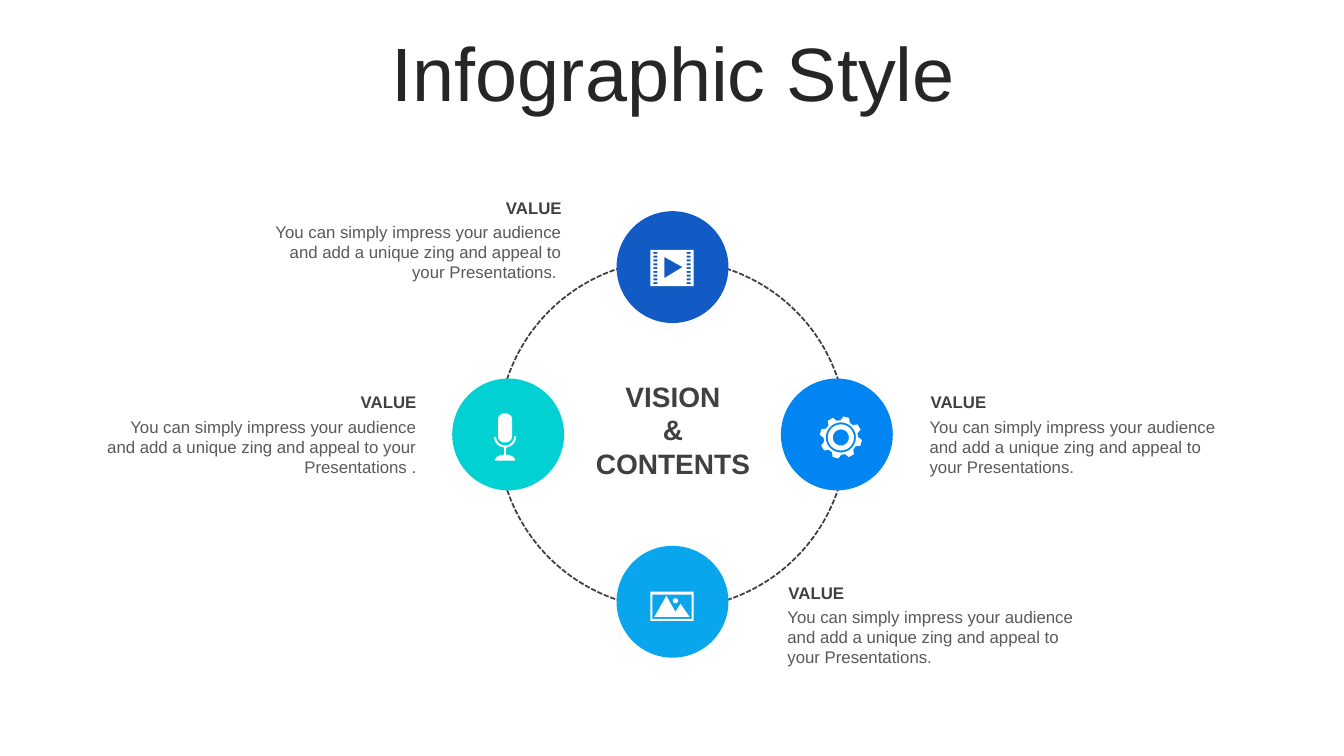
"""Build the Infographic Style slide: a ring of four icons with callouts."""
import math

from pptx import Presentation
from pptx.dml.color import RGBColor
from pptx.enum import dml, shapes, text
from pptx.util import Inches, Pt

FONT = "Arial"
WHITE, DARK, GREY, INK = "FFFFFF", "404040", "595959", "262626"
CENTRE_X, CENTRE_Y = 6.67, 4.31
LEFT, RIGHT, MIDDLE = text.PP_ALIGN.LEFT, text.PP_ALIGN.RIGHT, text.PP_ALIGN.CENTER
BODY = ("You can simply impress your audience and add a unique zing "
        "and appeal to your Presentations")

BUBBLES = [
    (0, -1.66, "125AC4"),
    (1.63, 0, "0085F2"),
    (-1.63, 0, "01D1D3"),
    (0, 1.66, "0AA6ED"),
]
CALLOUTS = [
    (2.51, 1.96, 3.06, RIGHT, BODY + ". "),
    (7.81, 5.78, 3.06, LEFT, BODY + ". "),
    (9.22, 3.89, 3.06, LEFT, BODY + ". "),
    (1.05, 3.89, 3.08, RIGHT, BODY + " ."),
]


def colour(value):
    """Turn a hex string into a colour."""
    return RGBColor.from_string(value)


def style_paragraph(para, size, ink, align, bold=False):
    """Set the font and alignment of a whole paragraph."""
    para.alignment = align
    para.font.name = FONT
    para.font.size = Pt(size)
    para.font.bold = bold
    para.font.color.rgb = colour(ink)


def add_title(page, words):
    """Place and format the title placeholder."""
    title = page.shapes.title
    title.left, title.top = Inches(0.35), Inches(0.37)
    title.width, title.height = Inches(12.66), Inches(0.79)
    frame = title.text_frame
    frame.text = words
    frame.auto_size = text.MSO_AUTO_SIZE.NONE
    frame.vertical_anchor = text.MSO_ANCHOR.MIDDLE
    para = frame.paragraphs[0]
    para.line_spacing = 0.9
    para.space_before = Pt(10)
    style_paragraph(para, 54, INK, MIDDLE)


def add_text(page, left, top, width, height, words, size, ink, align, bold=False):
    """Add a text box without margins, one paragraph per line of words."""
    box = page.shapes.add_textbox(
        Inches(left), Inches(top), Inches(width), Inches(height))
    frame = box.text_frame
    frame.word_wrap = True
    frame.auto_size = text.MSO_AUTO_SIZE.SHAPE_TO_FIT_TEXT
    frame.margin_left = frame.margin_right = 0
    frame.margin_top = frame.margin_bottom = 0
    frame.text = words
    for para in frame.paragraphs:
        style_paragraph(para, size, ink, align, bold)


def add_callout(page, left, top, width, align, words):
    """Add a bold heading with its description below."""
    add_text(page, left, top + 0.24, width, 0.61, words, 12, GREY, align)
    add_text(page, left + 0.01, top, width - 0.01, 0.2, "VALUE", 12, DARK, align, True)


def add_circle(page, x, y, size):
    """Add a circle around a centre point."""
    circle = page.shapes.add_shape(
        shapes.MSO_SHAPE.OVAL, Inches(x - size / 2), Inches(y - size / 2),
        Inches(size), Inches(size))
    circle.shadow.inherit = False
    return circle


def add_ring(page):
    """Add the dashed ring behind the bubbles."""
    ring = add_circle(page, CENTRE_X, CENTRE_Y, 3.46)
    ring.fill.background()
    ring.line.color.rgb = colour(DARK)
    ring.line.width = Pt(1.25)
    ring.line.dash_style = dml.MSO_LINE.SQUARE_DOT


def add_bubble(page, x, y, fill):
    """Add a solid bubble at an offset from the ring's centre."""
    bubble = add_circle(page, CENTRE_X + x, CENTRE_Y + y, 1.11)
    bubble.fill.solid()
    bubble.fill.fore_color.rgb = colour(fill)
    bubble.line.fill.background()


def add_icon(page, contours):
    """Add one white outline in which nested contours cut holes."""
    builder = None
    for contour in contours:
        points = [(Inches(x), Inches(y)) for x, y in contour]
        if builder is None:
            builder = page.shapes.build_freeform(*points[0])
        else:
            builder.move_to(*points[0])
        builder.add_line_segments(points[1:], close=True)
    icon = builder.convert_to_shape()
    icon.shadow.inherit = False
    icon.fill.solid()
    icon.fill.fore_color.rgb = colour(WHITE)
    icon.line.fill.background()


def arc(x, y, rx, ry, start=0, end=360, steps=24):
    """List points along an elliptical arc, clockwise in degrees."""
    angles = [math.radians(start + (end - start) * i / steps) for i in range(steps + 1)]
    return [(x + rx * math.cos(a), y + ry * math.sin(a)) for a in angles]


def rectangle(left, top, width, height):
    """List the corners of a rectangle."""
    right, bottom = left + width, top + height
    return [(left, top), (right, top), (right, bottom), (left, bottom)]


def film_contours():
    """Outline a film frame with perforations and a play mark."""
    perforations = [rectangle(left, 2.5 + row * 0.3 / 8, 0.04, 0.02)
                    for row in range(9) for left in (6.48, 6.81)]
    play = [(6.59, 2.55), (6.59, 2.76), (6.77, 2.65)]
    return [rectangle(6.45, 2.48, 0.43, 0.36), play, *perforations]


def microphone_contours():
    """Outline a microphone capsule and its stand."""
    x, y = 5.01, 4.33
    capsule = arc(x, 4.16, 0.07, 0.06, 180, 360) + arc(x, y, 0.07, 0.06, 0, 180)
    stand = (arc(x, y, 0.11, 0.11, 0, 85)
             + arc(x, 4.57, 0.1, 0.06, -85, 0)
             + arc(x, 4.57, 0.1, 0.06, 180, 265)
             + arc(x, y, 0.11, 0.11, 95, 177)
             + arc(x, y, 0.09, 0.09, 177, 0))
    return [capsule, stand]


def landscape_contours():
    """Outline a framed landscape with mountains and a sun."""
    mountains = [(6.49, 6.12), (6.61, 5.91), (6.7, 6.07), (6.75, 5.99), (6.84, 6.12)]
    return [rectangle(6.45, 5.87, 0.43, 0.29), rectangle(6.47, 5.9, 0.39, 0.24),
            mountains, arc(6.7, 5.96, 0.025, 0.025)]


def gear_contours():
    """Outline a gear with eight teeth and concentric rings."""
    x, y = 8.34, 4.34
    teeth = []
    for tooth in range(8):
        angle = 15 + tooth * 45
        teeth += arc(x, y, 0.17, 0.17, angle - 29, angle - 16, 4)
        teeth += arc(x, y, 0.21, 0.21, angle - 8, angle + 8, 1)
    return [teeth] + [arc(x, y, r, r) for r in (0.15, 0.13, 0.08)]


def main():
    """Assemble and save the slide."""
    deck = Presentation()
    deck.slide_width, deck.slide_height = Inches(13.33), Inches(7.5)
    page = deck.slides.add_slide(deck.slide_layouts[5])
    add_title(page, "Infographic Style")
    add_ring(page)
    for bubble in BUBBLES:
        add_bubble(page, *bubble)
    add_text(page, 5.66, 3.76, 2.03, 1.01, "VISION\n&\nCONTENTS", 20, DARK, MIDDLE, True)
    for callout in CALLOUTS:
        add_callout(page, *callout)
    for contours in (film_contours(), microphone_contours(),
                     landscape_contours(), gear_contours()):
        add_icon(page, contours)
    deck.save("out.pptx")


if __name__ == "__main__":
    main()
